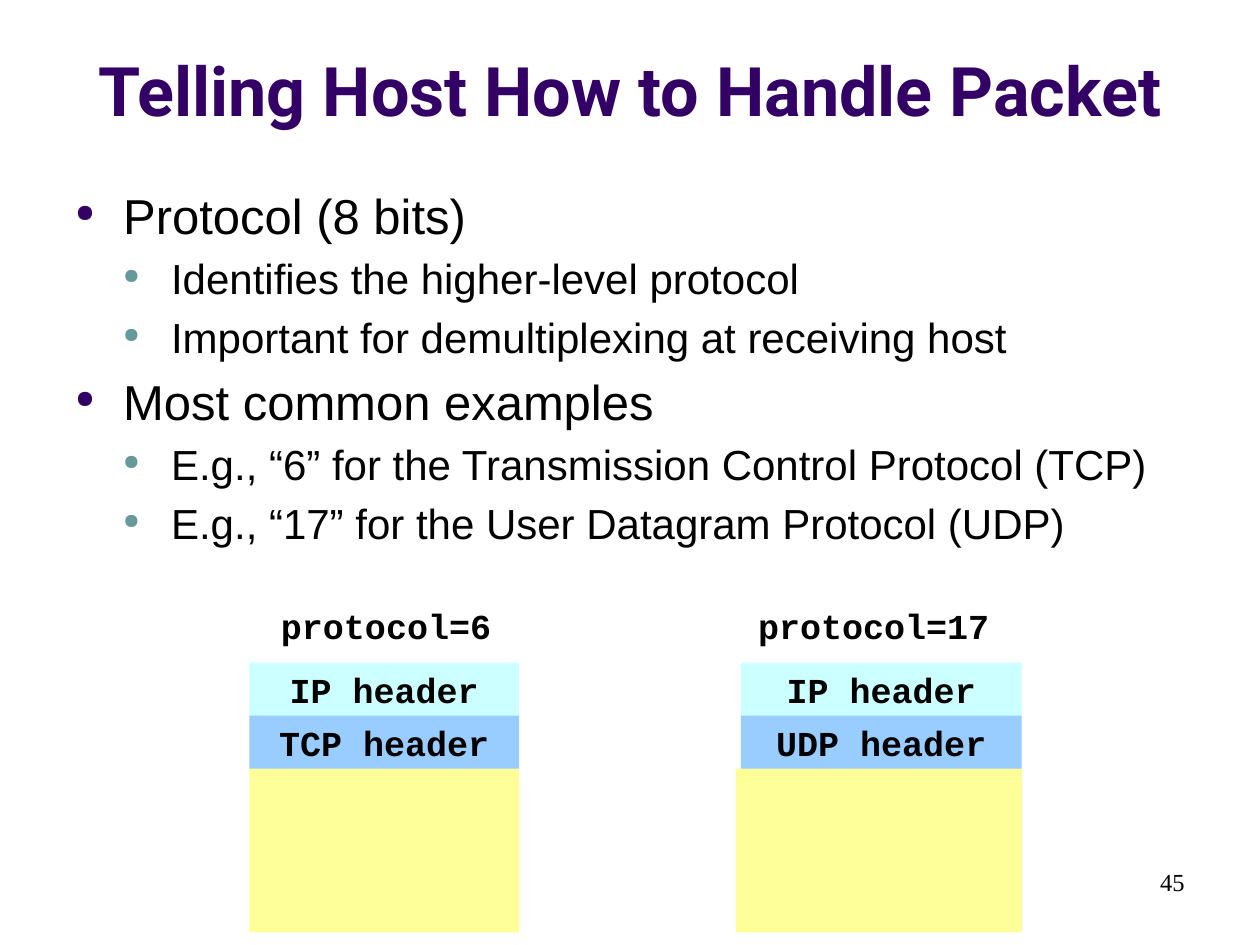
from lxml import etree
from pptx import Presentation
from pptx.dml.color import RGBColor
from pptx.enum.shapes import MSO_SHAPE
from pptx.enum.text import MSO_ANCHOR, MSO_AUTO_SIZE, PP_ALIGN
from pptx.oxml.ns import qn
from pptx.util import Inches, Pt

RECTANGLE = MSO_SHAPE.RECTANGLE
TOP, BOTTOM = MSO_ANCHOR.TOP, MSO_ANCHOR.BOTTOM
LEFT, CENTER, RIGHT = PP_ALIGN.LEFT, PP_ALIGN.CENTER, PP_ALIGN.RIGHT
GROW = MSO_AUTO_SIZE.SHAPE_TO_FIT_TEXT

PURPLE = RGBColor(0x33, 0x00, 0x66)
TEAL = RGBColor(0x66, 0x99, 0x99)
BLACK = RGBColor(0x00, 0x00, 0x00)
CYAN = RGBColor(0xCC, 0xFF, 0xFF)
BLUE = RGBColor(0x99, 0xCC, 0xFF)
YELLOW = RGBColor(0xFF, 0xFF, 0x99)

# The grid has 100 columns and 75 rows on a slide of 10 by 7.5 inches.
CELL = Inches(0.1)
COLUMNS, ROWS = 100, 75

# Size and bullet colour for each outline level.
LEVELS = [(28, PURPLE), (24, TEAL)]
SPACE_SHARE = 0.2
INDENT = Inches(0.38)

OUTLINE = [
    (0, "Protocol (8 bits)"),
    (1, "Identifies the higher-level protocol"),
    (1, "Important for demultiplexing at receiving host"),
    (0, "Most common examples"),
    (1, "E.g., “6” for the Transmission Control Protocol (TCP)"),
    (1, "E.g., “17” for the User Datagram Protocol (UDP)"),
]

HEADER_TOP, HEADER_STEP, HEADER_HEIGHT = 52.6, 4.2, 4.3
PAYLOAD_HEIGHT = 13
# Label, its left and width; transport header; header left and width; payload left.
PACKETS = [
    ("protocol=6", 21.3, 18.7, "TCP header", 19.8, 21.4, 19.8),
    ("protocol=17", 59.2, 20.3, "UDP header", 58.8, 22.3, 58.4),
]


class SlideBuilder:
    """Holds the slide and its text style."""

    def __init__(self, slide):
        """Keep the slide to draw on."""
        self.slide = slide

    def place(self, left, top, width, height):
        """Turn grid units into lengths."""
        return [round(units * CELL) for units in (left, top, width, height)]

    def style(self, paragraph, size, font, color=BLACK, bold=False, align=LEFT):
        """Set the look of one paragraph."""
        paragraph.alignment = align
        paragraph.font.size = Pt(size)
        paragraph.font.name = font
        paragraph.font.bold = bold
        paragraph.font.color.rgb = color

    def text(self, box, words, size, font, anchor=TOP, **look):
        """Add a text box with one paragraph and return its frame."""
        frame = self.slide.shapes.add_textbox(*self.place(*box)).text_frame
        frame.word_wrap = True
        frame.vertical_anchor = anchor
        frame.text = words
        self.style(frame.paragraphs[0], size, font, **look)
        return frame

    def label(self, box, words):
        """Add a one-line label that never wraps."""
        frame = self.text(box, words, 20, "Courier New", bold=True, align=CENTER)
        frame.word_wrap = False
        frame.auto_size = GROW
        frame.margin_left = frame.margin_right = 0

    def block(self, box, fill, words=""):
        """Add a filled rectangle, with a header name if given."""
        shape = self.slide.shapes.add_shape(RECTANGLE, *self.place(*box))
        shape.shadow.inherit = False
        shape.fill.solid()
        shape.fill.fore_color.rgb = fill
        shape.line.fill.background()
        if words:
            frame = shape.text_frame
            frame.vertical_anchor = TOP
            frame.text = words
            self.style(frame.paragraphs[0], 20, "Courier New", bold=True, align=CENTER)

    def bullet(self, paragraph, level, color):
        """Give a paragraph a hanging round bullet."""
        properties = paragraph._p.get_or_add_pPr()
        properties.set("marL", str(INDENT * (level + 1)))
        properties.set("indent", str(-INDENT))
        bullet_color = etree.SubElement(properties, qn("a:buClr"))
        etree.SubElement(bullet_color, qn("a:srgbClr"), val=str(color))
        etree.SubElement(properties, qn("a:buSzPct"), val="50000")
        etree.SubElement(properties, qn("a:buChar"), char="●")

    def outline(self, box, items):
        """Add a two-level bulleted list."""
        frame = self.slide.shapes.add_textbox(*self.place(*box)).text_frame
        frame.word_wrap = True
        for index, (level, words) in enumerate(items):
            paragraph = frame.add_paragraph() if index else frame.paragraphs[0]
            size, color = LEVELS[level]
            paragraph.text = words
            paragraph.level = level
            paragraph.space_before = Pt(size * SPACE_SHARE)
            self.bullet(paragraph, level, color)
            self.style(paragraph, size, "Arial")

    def packet(self, label, label_left, label_width, transport, left, width, payload_left):
        """Add a labelled stack of headers over a payload."""
        self.label((label_left, 47.5, label_width, HEADER_HEIGHT), label)
        for index, (words, fill) in enumerate([("IP header", CYAN), (transport, BLUE)]):
            top = HEADER_TOP + index * HEADER_STEP
            self.block((left, top, width, HEADER_HEIGHT), fill, words)
        payload_top = HEADER_TOP + 2 * HEADER_STEP
        payload_width = left + width - payload_left
        self.block((payload_left, payload_top, payload_width, PAYLOAD_HEIGHT), YELLOW)


def main():
    """Build and save the slide."""
    presentation = Presentation()
    presentation.slide_width = COLUMNS * CELL
    presentation.slide_height = ROWS * CELL
    builder = SlideBuilder(presentation.slides.add_slide(presentation.slide_layouts[6]))
    builder.text((0, 1.3, COLUMNS, 9.5), "Telling Host How to Handle Packet", 39,
                 "Roboto", anchor=BOTTOM, color=PURPLE, bold=True, align=CENTER)
    builder.outline((5, 14.2, 93.3, 52.9), OUTLINE)
    builder.text((71.7, 68.3, 23.3, 5), "45", 14, "Times New Roman", align=RIGHT)
    for packet in PACKETS:
        builder.packet(*packet)
    presentation.save("out.pptx")


main()
